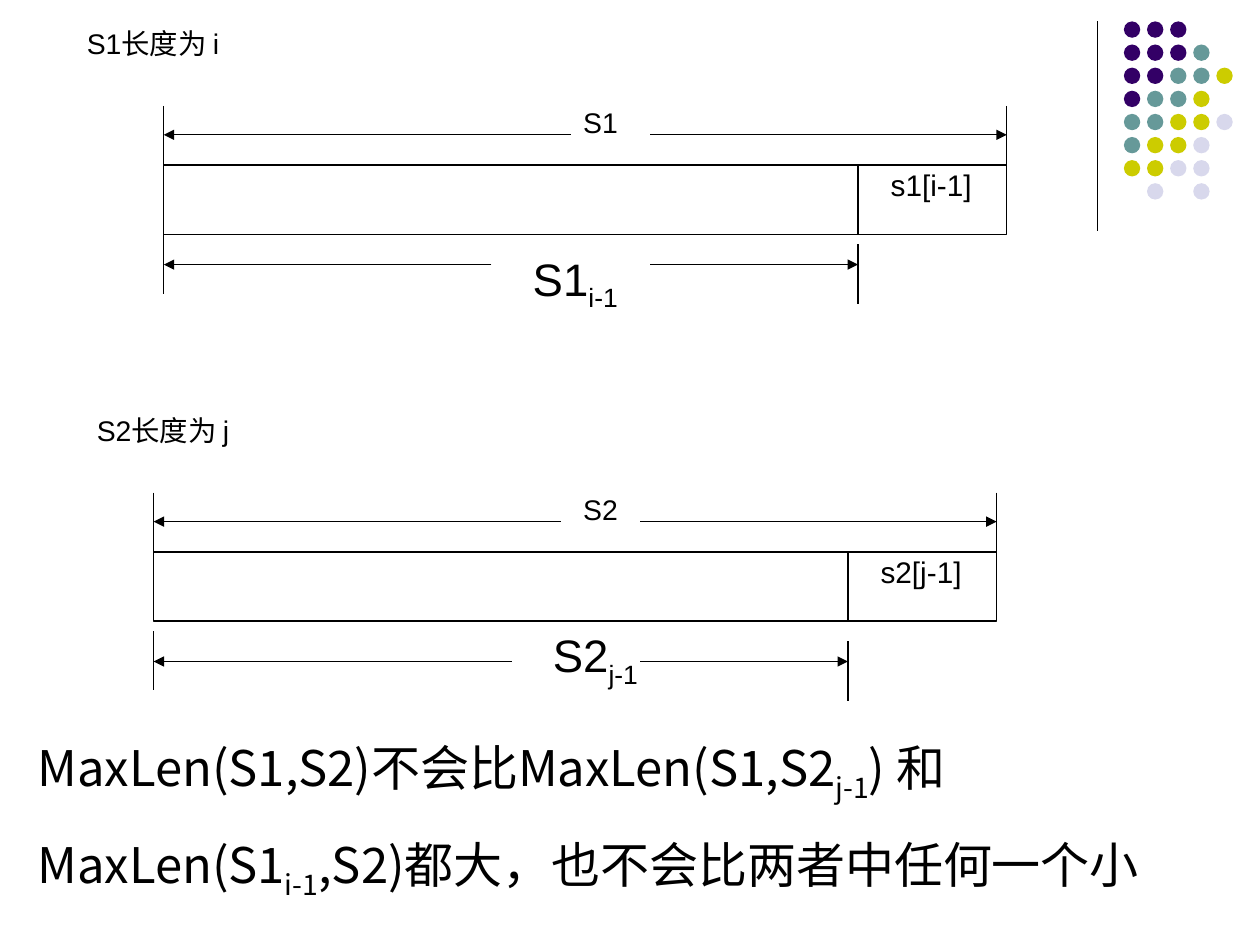
from lxml.etree import SubElement
from pptx import Presentation
from pptx.dml.color import RGBColor
from pptx.enum.shapes import MSO_CONNECTOR, MSO_SHAPE
from pptx.oxml.ns import qn
from pptx.util import Inches, Pt

BLACK = RGBColor(0x00, 0x00, 0x00)
DOT_COLORS = {
    "P": RGBColor(0x33, 0x00, 0x66),
    "T": RGBColor(0x66, 0x99, 0x99),
    "Y": RGBColor(0xCC, 0xCC, 0x00),
    "L": RGBColor(0xD8, 0xD8, 0xEC),
}
DOT_ROWS = ["PPP", "PPPT", "PPTTY", "PTTY", "TTYYL", "TYYL", "YYLL", " L L"]
DOT_PITCH, DOT_SIZE = 0.1835, 0.13

BAR_WIDTH, PREFIX_WIDTH, BAR_HEIGHT = 6.69, 5.51, 0.55
TICK = 0.47

LATIN, CJK = "Arial", "Noto Sans CJK SC"
CAPTION = {"line_spacing": 0.8, "space_before": Pt(6.5)}
CELL = {"line_spacing": 0.9, "space_before": Pt(5)}
PREFIX = {"space_before": Pt(6.5)}
CONCLUSION = {"space_before": Pt(17.5)}


def add_line(slide, start, end, arrow=False):
    line = slide.shapes.add_connector(
        MSO_CONNECTOR.STRAIGHT, *map(Inches, (*start, *end)))
    line.line.color.rgb = BLACK
    line.line.width = Pt(0.75)
    if arrow:
        SubElement(line.line._get_or_add_ln(), qn("a:tailEnd"), type="triangle")
    SubElement(line._element.spPr, qn("a:effectLst"))


def add_text(slide, box, paragraphs, size, spacing, font=LATIN):
    """Each paragraph is a list of runs that alternate normal and subscript."""
    frame = slide.shapes.add_textbox(*map(Inches, box)).text_frame
    frame.word_wrap = True
    for index, pieces in enumerate(paragraphs):
        paragraph = frame.add_paragraph() if index else frame.paragraphs[0]
        for name, value in spacing.items():
            setattr(paragraph, name, value)
        for position, piece in enumerate(pieces):
            run = paragraph.add_run()
            run.text = piece
            for name, value in {"size": Pt(size), "name": font}.items():
                setattr(run.font, name, value)
            run.font.color.rgb = BLACK
            properties = run._r.get_or_add_rPr()
            SubElement(properties, qn("a:ea"), typeface=CJK)
            if position % 2:
                properties.set("baseline", "-25000")


def add_cell(slide, left, top, width):
    cell = slide.shapes.add_shape(
        MSO_SHAPE.RECTANGLE, *map(Inches, (left, top, width, BAR_HEIGHT)))
    cell.shadow.inherit = False
    cell.fill.background()
    cell.line.color.rgb = BLACK
    cell.line.width = Pt(0.75)


def add_dot_ornament(slide, left, top):
    add_line(slide, (left, top), (left, top + 1.66))
    for row, codes in enumerate(DOT_ROWS):
        for column, code in enumerate(codes):
            if code == " ":
                continue
            dot = slide.shapes.add_shape(MSO_SHAPE.OVAL, *map(Inches, (
                left + 0.21 + column * DOT_PITCH, top + row * DOT_PITCH,
                DOT_SIZE, DOT_SIZE)))
            dot.shadow.inherit = False
            dot.fill.solid()
            dot.fill.fore_color.rgb = DOT_COLORS[code]
            dot.line.fill.background()


def add_dimension(slide, left, right, y, gap):
    """Draw two arrows pointing outwards from a gap left for the label."""
    for inner, outer in zip(gap, (left, right)):
        add_line(slide, (inner, y), (outer, y), arrow=True)


def add_string_diagram(slide, left, top, name, length, drop, prefix_gap,
                       prefix_box, caption_left):
    """left and top are the bar's corner; drop is from there to the lower tick."""
    right, split = left + BAR_WIDTH, left + PREFIX_WIDTH
    gap_end = left + 3.86

    add_cell(slide, left, top, PREFIX_WIDTH)
    add_cell(slide, split, top, BAR_WIDTH - PREFIX_WIDTH)

    ticks = [(left, top - TICK), (right, top - TICK),
             (left, top + drop), (split, top + drop + 0.08)]
    for x, y in ticks:
        add_line(slide, (x, y), (x, y + TICK))
    add_dimension(slide, left, right, top - 0.24, (left + 3.23, gap_end))
    add_dimension(slide, left, split, top + drop + 0.24, (prefix_gap, gap_end))

    add_text(slide, (caption_left, top - 1.1, 4.65, 0.39),
             [[f"{name}长度为 {length}"]], 16.2, CAPTION)
    add_text(slide, (4.53, top - TICK, 1.02, 0.39), [[name]], 16.2, CAPTION)
    add_text(slide, (split + 0.16, top, 1.02, 0.39),
             [[f"{name.lower()}[{length}-1]"]], 17, CELL)
    add_text(slide, prefix_box, [[name, f"{length}-1"]], 26, PREFIX)


def add_conclusion(slide, box):
    add_text(slide, box, [
        ["MaxLen(S1,S2)不会比MaxLen(S1,S2", "j-1", ") 和"],
        ["MaxLen(S1", "i-1", ",S2)都大，也不会比两者中任何一个小"],
    ], 28, CONCLUSION, CJK)


def main():
    deck = Presentation()
    deck.slide_width, deck.slide_height = Inches(10), Inches(7.5)
    slide = deck.slides.add_slide(deck.slide_layouts[6])
    add_dot_ornament(slide, 8.71, 0.17)
    add_string_diagram(slide, 1.3, 1.31, "S1", "i", drop=0.55, prefix_gap=3.9,
                       prefix_box=(4.13, 1.94, 1.26, 0.63), caption_left=0.59)
    add_string_diagram(slide, 1.22, 4.38, "S2", "j", drop=0.63, prefix_gap=4.06,
                       prefix_box=(4.29, 4.93, 1.26, 0.87), caption_left=0.67)
    add_conclusion(slide, (0.2, 5.8, 9.61, 1.41))
    deck.save("out.pptx")


if __name__ == "__main__":
    main()
